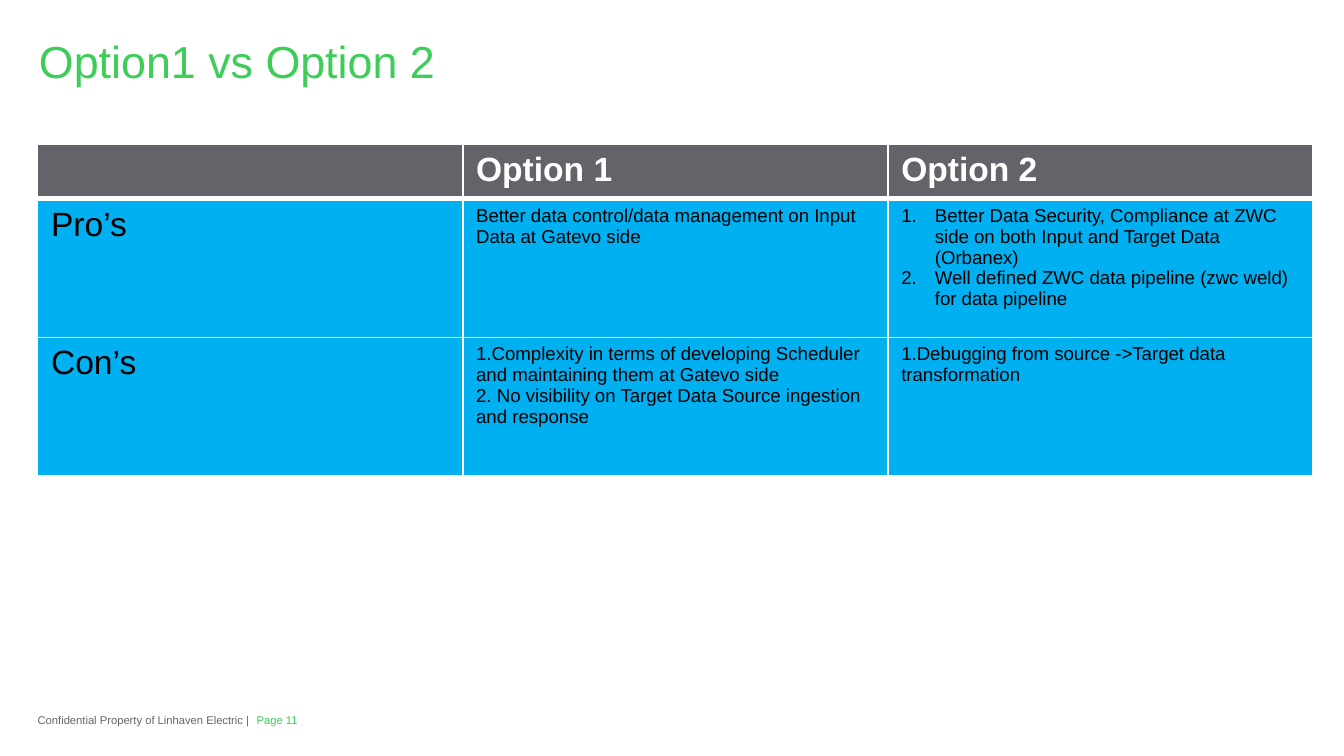
import pptx
import pptx.util
import pptx.dml.color
import pptx.enum.text
import pptx.oxml
import pptx.oxml.ns
import lxml.etree

Inches = pptx.util.Inches
Pt = pptx.util.Pt

COLORS = {"green": "3DCD58", "gray": "626469", "blue": "00B0F0", "white": "FFFFFF", "black": "000000"}
TITLE = "Option1 vs Option 2"
FOOTERS = [
    (1.91, 0.57, "Page 11", "green"),
    (0.28, 1.65, "Confidential Property of Linhaven Electric |", "gray"),
]
COMPARISON = [
    [[], ["Option 1"], ["Option 2"]],
    [
        ["Pro’s"],
        ["Better data control/data management on Input Data at Gatevo side"],
        ["Better Data Security, Compliance at ZWC side on both Input and Target Data (Orbanex)",
         "Well defined ZWC data pipeline (zwc weld) for data pipeline"],
    ],
    [
        ["Con’s"],
        ["1.Complexity in terms of developing Scheduler and maintaining them at Gatevo side",
         "2. No visibility on Target Data Source ingestion and response"],
        ["1.Debugging from source ->Target data transformation"],
    ],
]
NUMBERED = (1, 2)
SLIDE_WIDTH = 10
ROW_HEIGHTS = [0.41, 1.03, 1.03]
TABLE_WIDTH = 9.49


def rgb(color):
    return pptx.dml.color.RGBColor.from_string(COLORS[color])


def apply(target, values):
    for name, value in values.items():
        setattr(target, name, value)


def write(frame, lines, size, color, bold=False):
    for index, line in enumerate(lines):
        paragraph = frame.paragraphs[0] if index == 0 else frame.add_paragraph()
        paragraph.alignment = pptx.enum.text.PP_ALIGN.LEFT
        run = paragraph.add_run()
        run.text = line
        apply(run.font, {"name": "Arial", "size": Pt(size), "bold": bold})
        run.font.color.rgb = rgb(color)


def frame_format(anchor):
    return {"margin_left": 0, "margin_right": 0, "margin_top": 0, "margin_bottom": 0,
            "word_wrap": True, "vertical_anchor": anchor,
            "auto_size": pptx.enum.text.MSO_AUTO_SIZE.NONE}


def indent(paragraph, left, first):
    properties = paragraph._p.get_or_add_pPr()
    properties.set("marL", str(Inches(left)))
    properties.set("indent", str(Inches(first)))
    return properties


def number(paragraph):
    properties = indent(paragraph, 0.25, -0.25)
    bullet = lxml.etree.SubElement(properties, pptx.oxml.ns.qn("a:buAutoNum"))
    bullet.set("type", "arabicPeriod")


def add_borders(cell, widths):
    properties = cell._tc.get_or_add_tcPr()
    for position, (side, width) in enumerate(widths.items()):
        properties.insert(position, pptx.oxml.parse_xml(
            f'<a:ln{side} {pptx.oxml.ns.nsdecls("a")} w="{Pt(width)}"><a:solidFill>'
            f'<a:srgbClr val="{COLORS["white"]}"/></a:solidFill></a:ln{side}>'))


deck = pptx.Presentation()
apply(deck, {"slide_width": Inches(SLIDE_WIDTH), "slide_height": Inches(SLIDE_WIDTH * 9 / 16)})
slide = deck.slides.add_slide(deck.slide_layouts[5])

heading = slide.shapes.title
apply(heading, {"left": Inches(0.28), "top": Inches(0.25), "width": Inches(9.46), "height": Inches(0.4)})
apply(heading.text_frame, frame_format(pptx.enum.text.MSO_ANCHOR.TOP))
write(heading.text_frame, [TITLE], 24, "green")
apply(heading.text_frame.paragraphs[0], {"space_before": Pt(5), "space_after": Pt(5)})
indent(heading.text_frame.paragraphs[0], 0.19, -0.18)

for left, width, text, color in FOOTERS:
    footer = slide.shapes.add_textbox(Inches(left), Inches(5.31), Inches(width), Inches(0.1))
    apply(footer.text_frame, frame_format(pptx.enum.text.MSO_ANCHOR.MIDDLE))
    write(footer.text_frame, [text], 6, color)

comparison = slide.shapes.add_table(
    len(COMPARISON), len(COMPARISON[0]), Inches(0.28), Inches(1.07),
    Inches(TABLE_WIDTH), Inches(sum(ROW_HEIGHTS))).table
for row, (lines_by_option, height) in enumerate(zip(COMPARISON, ROW_HEIGHTS)):
    comparison.rows[row].height = Inches(height)
    header = row == 0
    for column, lines in enumerate(lines_by_option):
        cell = comparison.cell(row, column)
        cell.fill.solid()
        cell.fill.fore_color.rgb = rgb("gray" if header else "blue")
        add_borders(cell, {"L": 1, "R": 1, "T": 3 if row == 1 else 1, "B": 3 if header else 1})
        size = 18 if header or column == 0 else 10
        write(cell.text_frame, lines, size, "white" if header else "black", header)
        if (row, column) == NUMBERED:
            for paragraph in cell.text_frame.paragraphs:
                number(paragraph)

deck.save("out.pptx")
